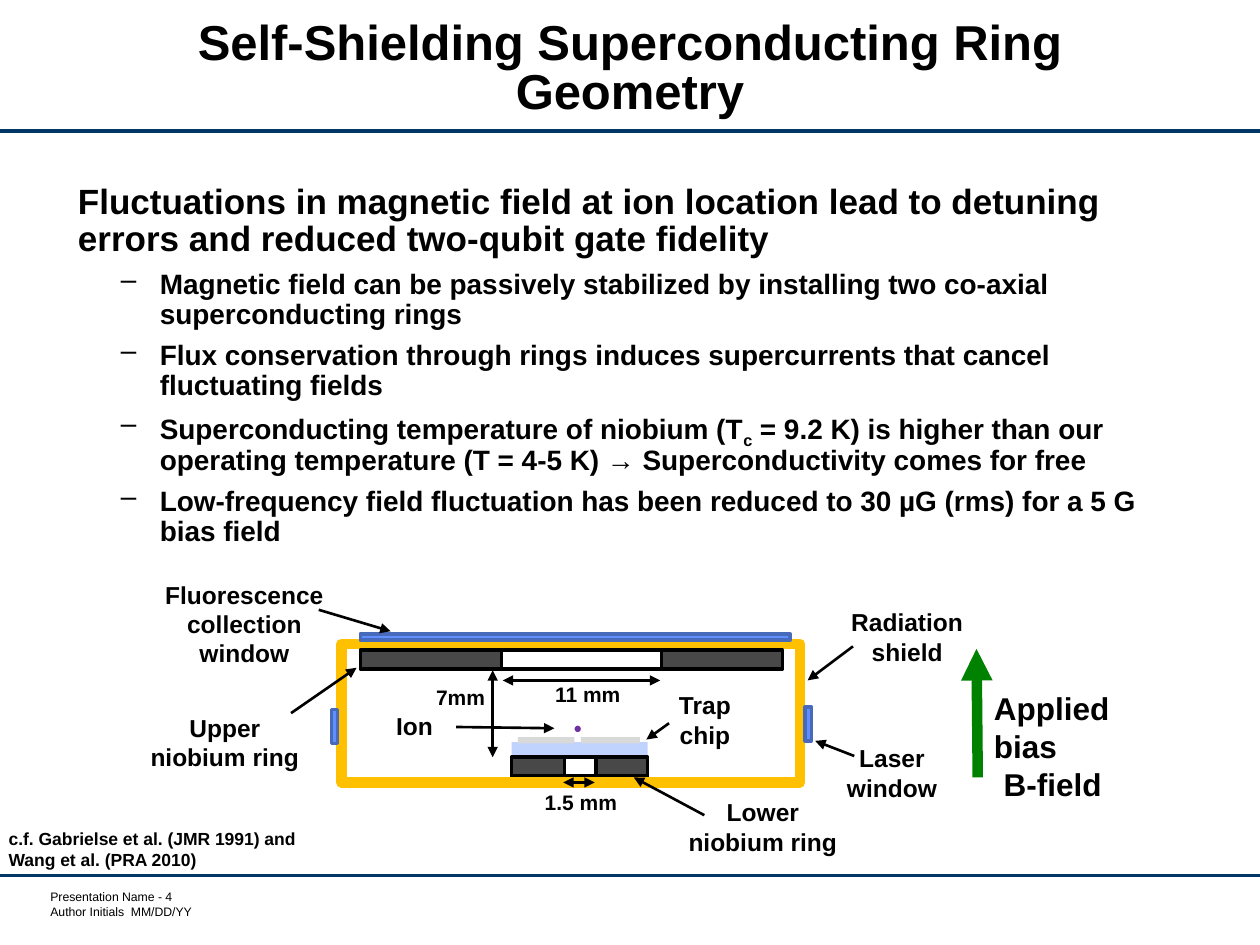
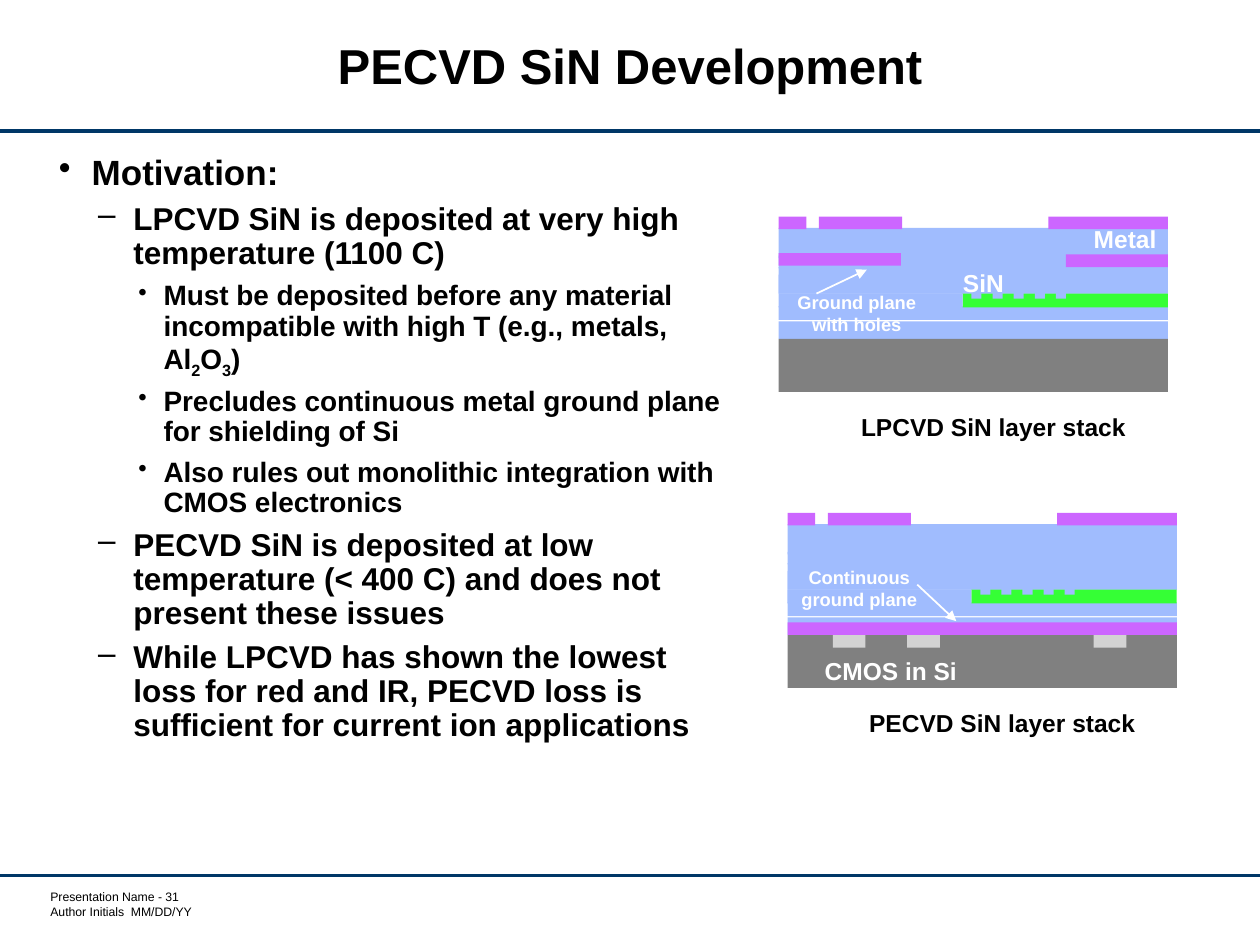
from dataclasses import dataclass
from typing import Any

from lxml import etree
from pptx import Presentation
from pptx import util as u
from pptx.dml.color import RGBColor
from pptx.enum import shapes as kinds, text as txt
from pptx.oxml.ns import qn

NAVY = RGBColor(0x00, 0x37, 0x67)
BLACK = RGBColor(0x00, 0x00, 0x00)
WHITE = RGBColor(0xFF, 0xFF, 0xFF)
NIOBIUM = RGBColor(0x48, 0x48, 0x48)
SHIELD_GOLD = RGBColor(0xFF, 0xC0, 0x00)
WINDOW = RGBColor(0x61, 0x8F, 0xFD)
WINDOW_EDGE = RGBColor(0x48, 0x6A, 0xBB)
CHIP = RGBColor(0xC0, 0xD2, 0xFE)
ELECTRODE = RGBColor(0xD9, 0xD9, 0xD9)
ION = RGBColor(0x70, 0x30, 0xA0)
FIELD = RGBColor(0x00, 0x82, 0x00)
OXIDE = RGBColor(0xA0, 0xBC, 0xFE)
METAL = RGBColor(0xCC, 0x66, 0xFF)
NITRIDE = RGBColor(0x35, 0xFF, 0x35)
SILICON = RGBColor(0x80, 0x80, 0x80)
CMOS = RGBColor(0xD3, 0xD3, 0xD3)

FONT = "Arial"
LEFT, CENTER = txt.PP_ALIGN.LEFT, txt.PP_ALIGN.CENTER


def apply(target, values):
    for name, value in values.items():
        setattr(target, name, value)


def add_runs(paragraph, words, size, color=BLACK, bold=True):
    """Write words; every second piece between ~ marks is a subscript."""
    for i, piece in enumerate(words.split("~")):
        run = paragraph.add_run()
        run.text = piece
        apply(run.font, {"name": FONT, "size": u.Pt(size), "bold": bold})
        run.font.color.rgb = color
        if i % 2:
            run.font._element.set("baseline", "-25000")


def add_bullet(paragraph, char, margin, hang, percent=100):
    pPr = paragraph._p.get_or_add_pPr()
    pPr.set("marL", str(u.Inches(margin)))
    pPr.set("indent", str(-u.Inches(hang)))
    if percent != 100:
        etree.SubElement(pPr, qn("a:buSzPct")).set("val", str(percent * 1000))
    etree.SubElement(pPr, qn("a:buChar")).set("char", char)


@dataclass
class Region:
    """Part of a slide; all places are inches from its top left corner."""
    slide: Any
    left: float = 0
    top: float = 0

    def place(self, x, y):
        return u.Inches(self.left + x), u.Inches(self.top + y)

    def block(self, x, y, w, h, fill=None, edge=None, weight=2,
              kind=kinds.MSO_SHAPE.RECTANGLE, group=None):
        parent = group or self.slide
        shape = parent.shapes.add_shape(
            kind, *self.place(x, y), u.Inches(w), u.Inches(h))
        shape.shadow.inherit = False
        if fill is None:
            shape.fill.background()
        else:
            shape.fill.solid()
            shape.fill.fore_color.rgb = fill
        if edge is None:
            shape.line.fill.background()
        else:
            shape.line.color.rgb = edge
            shape.line.width = u.Pt(weight)

    def line(self, start, end, color=BLACK, weight=1.5, heads=("tailEnd",)):
        link = self.slide.shapes.add_connector(
            kinds.MSO_CONNECTOR.STRAIGHT, *self.place(*start), *self.place(*end))
        link.line.color.rgb = color
        link.line.width = u.Pt(weight)
        for head in heads:
            etree.SubElement(link.line._get_or_add_ln(), qn(f"a:{head}")).set("type", "triangle")
        etree.SubElement(link._element.spPr, qn("a:effectLst"))

    def frame(self, x, y, w, h, **values):
        box = self.slide.shapes.add_textbox(*self.place(x, y), u.Inches(w), u.Inches(h))
        apply(box.text_frame, {"word_wrap": True, **values})
        return box.text_frame

    def label(self, x, y, w, h, words, size=14, color=BLACK, align=CENTER,
              bold=True, **values):
        frame = self.frame(x, y, w, h, **values)
        for i, row in enumerate(words.split("\n")):
            paragraph = frame.add_paragraph() if i else frame.paragraphs[0]
            paragraph.alignment = align
            add_runs(paragraph, row, size, color, bold)
        return frame


def add_page(deck, title, number):
    """Blank slide with title, two rules and footer."""
    page = Region(deck.slides.add_slide(deck.slide_layouts[6]))
    for y in (1.04, 6.95):
        page.line((0, y), (10, y), NAVY, 1.75, heads=())
    page.label(0.35, 7.06, 1.19, 0.24,
               f"Presentation Name - {number}\nAuthor Initials  MM/DD/YY",
               7, align=LEFT, bold=False, word_wrap=False, margin_left=u.Inches(0.05),
               margin_top=0, margin_right=0, margin_bottom=0)
    heading = page.label(1.03, 0.11, 7.94, 0.89, title, 28,
                         vertical_anchor=txt.MSO_ANCHOR.MIDDLE)
    heading.paragraphs[0].line_spacing = u.Pt(28)
    return page.slide


def add_body(region, width, items, styles):
    """Outline text; styles maps a style key to (level, size, bullet arguments)."""
    frame = region.frame(0, 0, width, 5.28)
    for i, (key, words) in enumerate(items):
        level, size, bullet = styles[key]
        paragraph = frame.add_paragraph() if i else frame.paragraphs[0]
        if bullet:
            add_bullet(paragraph, *bullet)
        apply(paragraph, {"level": level, "line_spacing": 0.9,
                          "space_before": u.Pt(6 if i else 0)})
        add_runs(paragraph, words, size)


def draw_trap(trap):
    """Cross-section of the shielded trap, from the shield's corner."""
    # Trap chip, lower ring and electrodes
    trap.block(1.35, 0.78, 1.08, 0.12, CHIP)
    trap.block(1.35, 0.9, 1.08, 0.15, NIOBIUM, BLACK)
    trap.block(1.77, 0.9, 0.25, 0.15, WHITE, BLACK)
    trap.block(1.4, 0.74, 0.45, 0.05, ELECTRODE)
    trap.block(1.9, 0.74, 0.47, 0.05, ELECTRODE)
    # Shield, upper ring and ion
    trap.block(0, 0, 3.64, 1.1, edge=SHIELD_GOLD, weight=6)
    trap.block(0.15, 0.05, 3.35, 0.15, NIOBIUM, BLACK)
    trap.block(1.27, 0.05, 1.27, 0.15, WHITE, BLACK)
    trap.block(1.85, 0.65, 0.05, 0.05, ION, kind=kinds.MSO_SHAPE.OVAL)
    # Laser windows and fluorescence window
    for window in ((-0.08, 0.52, 0.05, 0.27), (3.68, 0.5, 0.05, 0.27),
                   (0.15, -0.08, 3.41, 0.05)):
        trap.block(*window, WINDOW, WINDOW_EDGE)
    # Dimensions
    for start, end in (((1.2, 0.21), (1.2, 0.9)), ((1.76, 1.1), (2.01, 1.1)),
                       ((1.28, 0.29), (2.53, 0.29))):
        trap.line(start, end, heads=("headEnd", "tailEnd"))
    for x, y, w, words in ((1.51, 1.11, 0.78, "1.5 mm"), (0.65, 0.27, 0.59, "7mm"),
                           (1.57, 0.25, 0.77, "11 mm")):
        trap.label(x, y, w, 0.3, words, 12, word_wrap=False)
    # Part names with their pointers
    for box, words, start, end in (
            ((3.9, -0.34, 1.18, 0.57), "Radiation shield", (4.06, 0.02), (3.7, 0.29)),
            ((2.3, 0.32, 1.17, 0.57), "Trap\nchip", (2.6, 0.63), (2.42, 0.76)),
            ((2.6, 1.17, 1.49, 0.57), "Lower\nniobium ring", (2.88, 1.36), (2.32, 1.06)),
            ((-1.76, 0.5, 1.67, 0.57), "Upper\nniobium ring", (-0.4, 0.55), (0.12, 0.19)),
            ((-1.53, -0.56, 1.52, 0.81), "Fluorescence collection window",
             (-0.18, -0.27), (0.39, -0.1)),
            ((3.7, 0.74, 1.34, 0.57), "Laser\nwindow", (4.07, 0.89), (3.76, 0.77)),
            ((-0.18, 0.48, 1.52, 0.34), "Ion", (0.91, 0.66), (1.69, 0.67))):
        trap.label(*box, words)
        trap.line(start, end)
    # Applied field
    trap.line((5.05, 1.06), (5.04, 0.04), FIELD, 6)
    field = trap.label(5.08, 0.31, 1.13, 1.03, "Applied bias\nB-field", 18)
    field.paragraphs[0].alignment = LEFT


def draw_stack(stack, ground_planes, caption):
    """Layer stack, from the top left corner of its upper metal."""
    width, layer = 3.09, 0.1
    for y, h in ((0.4, 0.21), (0.31, 0.1), (0.09, 0.24), (0.46, 0.15),
                 (0.83, 0.14), (0.71, 0.11)):
        stack.block(0, y, width, h, OXIDE)
    stack.block(0, 0.97, width, 0.42, SILICON)
    # Nitride with a grating cut into its top
    stack.block(1.46, 0.61, 1.63, 0.11, NITRIDE)
    grating = stack.slide.shapes.add_group_shape()
    for i in range(5):
        stack.block(1.53 + i * 0.1675, 0.54, 0.08, 0.11, OXIDE, group=grating)
    stack.block(0, 0.61, 1.46, 0.11, OXIDE)
    # Metal
    for x, w in ((0, 0.22), (0.32, 0.66), (2.14, 0.95)):
        stack.block(x, 0, w, layer, METAL)
    for x, y, w in ground_planes:
        stack.block(x, y, w, layer, METAL)
    stack.label(0.52, 1.5, 2.37, 0.34, caption, word_wrap=False)


def ring_slide(deck):
    slide = add_page(deck, "Self-Shielding Superconducting Ring Geometry", 4)
    draw_trap(Region(slide, 2.71, 5.11))
    add_body(Region(slide, 0.52, 1.41), 8.68, (
        ("lead", "Fluctuations in magnetic field at ion location lead to detuning errors "
                 "and reduced two-qubit gate fidelity"),
        ("dash", "Magnetic field can be passively stabilized by installing two co-axial "
                 "superconducting rings"),
        ("dash", "Flux conservation through rings induces supercurrents that cancel "
                 "fluctuating fields"),
        ("dash", "Superconducting temperature of niobium (T~c~ = 9.2 K) is higher than our "
                 "operating temperature (T = 4-5 K) → Superconductivity comes for free"),
        ("dash", "Low-frequency field fluctuation has been reduced to 30 µG (rms) "
                 "for a 5 G bias field"),
    ), {"lead": (0, 20, None), "dash": (1, 16, ("–", 0.65, 0.31))})
    Region(slide).label(-0.03, 6.52, 2.79, 0.44,
                        "c.f. Gabrielse et al. (JMR 1991) and Wang et al. (PRA 2010)",
                        10, align=LEFT)


def nitride_slide(deck):
    slide = add_page(deck, "PECVD SiN Development", 31)
    add_body(Region(slide, 0.37, 1.18), 5.56, (
        ("lead", "Motivation:"),
        ("dash", "LPCVD SiN is deposited at very high temperature (1100 C)"),
        ("dot", "Must be deposited before any material incompatible with high T "
                "(e.g., metals, Al~2~O~3~)"),
        ("dot", "Precludes continuous metal ground plane for shielding of Si"),
        ("dot", "Also rules out monolithic integration with CMOS electronics"),
        ("dash", "PECVD SiN is deposited at low temperature (< 400 C) and does not "
                 "present these issues"),
        ("dash", "While LPCVD has shown the lowest loss for red and IR, PECVD loss is "
                 "sufficient for current ion applications"),
    ), {"lead": (0, 20, ("•", 0.26, 0.26)), "dash": (1, 18, ("–", 0.59, 0.28)),
        "dot": (2, 16, ("•", 0.83, 0.2, 90))})

    # Ground plane with holes
    lpcvd = Region(slide, 6.18, 1.72)
    draw_stack(lpcvd, ((0, 0.29, 0.97), (2.28, 0.3, 0.81)), "LPCVD SiN layer stack")
    lpcvd.label(2.4, 0.01, 0.7, 0.34, "Metal", color=WHITE, word_wrap=False)
    lpcvd.label(1.36, 0.36, 0.53, 0.34, "SiN", color=WHITE, word_wrap=False)
    lpcvd.label(-0.04, 0.54, 1.32, 0.45, "Ground plane with holes", 10.5, WHITE)
    lpcvd.line((0.3, 0.61), (0.7, 0.42), WHITE, 1)

    # Continuous ground plane over CMOS
    pecvd = Region(slide, 6.25, 4.07)
    draw_stack(pecvd, ((0, 0.87, 3.09),), "PECVD SiN layer stack")
    for x in (0.36, 0.95, 2.43):
        pecvd.block(x, 0.97, 0.26, 0.1, CMOS)
    pecvd.label(0.19, 1.09, 1.26, 0.34, "CMOS in Si", color=WHITE, word_wrap=False)
    pecvd.label(-0.09, 0.37, 1.32, 0.45, "Continuous ground plane", 10.5, WHITE)
    pecvd.line((1.03, 0.57), (1.34, 0.86), WHITE, 1)


def main():
    deck = Presentation()
    apply(deck, {"slide_width": u.Inches(10), "slide_height": u.Inches(7.5)})
    ring_slide(deck)
    nitride_slide(deck)
    deck.save("out.pptx")


if __name__ == "__main__":
    main()
